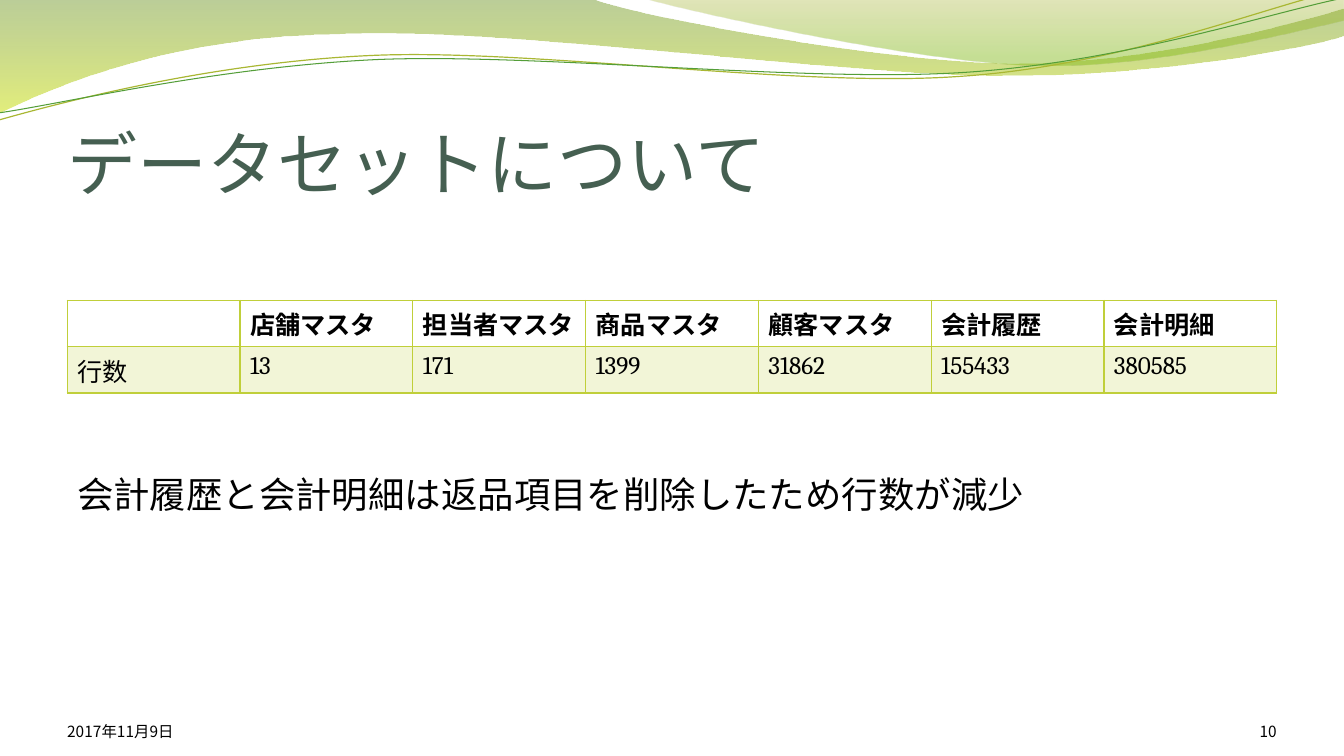
from lxml.etree import SubElement
from pptx import Presentation
from pptx.dml.color import RGBColor
from pptx.enum.text import MSO_ANCHOR as Anchor, PP_ALIGN as Align
from pptx.oxml.ns import qn
from pptx.util import Inches, Pt

W, H = 40 / 3, 7.5
MARGIN, CONTENT_W = W / 20, W * 0.9
SANS, SERIF = "Noto Sans CJK JP", "Cambria"
BLACK, TITLE_COLOR, LIME = "000000", "455F51", "C0CF3A"

TITLE = "データセットについて"
NOTE = "会計履歴と会計明細は返品項目を削除したため行数が減少"
DATE, PAGE = "2017年11月9日", "10"
ROWS = [
    ["", "店舗マスタ", "担当者マスタ", "商品マスタ", "顧客マスタ", "会計履歴", "会計明細"],
    ["行数", "13", "171", "1399", "31862", "155433", "380585"],
]
ROW_H = 0.46

# A path is a start point, then pairs (lines) and sixes (Bézier curves).
# A gradient stop is position, colour, opacity in percent.
BANDS = [
    ([(0, 0), (5.87, -0.01), (6.34, 0.17, 8.84, 0.63, 10.11, 0.63),
      (11.37, 0.63, 12.77, 0.26, 13.33, 0.09), (13.34, 0.36),
      (13.11, 0.44, 11.59, 0.76, 9.94, 0.75), (8.29, 0.75, 5.09, 0.28, 3.43, 0.34),
      (1.72, 0.36, 0.61, 0.83, -0.02, 1.13)],
     [(0, "69921C", 45), (1, "CCE10F", 55)]),
    ([(6.38, -0.01), (6.79, 0.11, 9.09, 0.62, 10.25, 0.65),
      (11.4, 0.69, 12.82, 0.32, 13.33, 0.21), (13.33, 0)],
     [(0, "9BAA1A", 30), (0.8, "81BA16", 45)]),
]
WAVES = [
    ([(-0.01, 1.19), (0.63, 1.01, 2.1, 0.62, 3.69, 0.55),
      (5.27, 0.48, 7.89, 0.87, 9.49, 0.76), (11.1, 0.66, 12.51, 0.08, 13.3, -0.1)],
     "A9B733", 0.85),
    ([(-0.01, 1.12), (0.62, 1.03, 2.18, 0.66, 3.77, 0.59),
      (5.37, 0.53, 7.96, 0.82, 9.55, 0.72), (11.14, 0.62, 12.55, 0.14, 13.33, -0.02)],
     "549E39", 0.75),
]
UNITS = 100  # path units per inch


def rgb(color):
    return RGBColor.from_string(color)


def set_opacity(parent, percent):
    for clr in parent.iter(qn("a:srgbClr")):
        SubElement(clr, qn("a:alpha"), val=str(percent * 1000))


def add_path(slide, path, close):
    """Draw the points as a freeform, then join each six into a Bézier curve."""
    points = [(part[i] * UNITS, part[i + 1] * UNITS)
              for part in path for i in range(0, len(part), 2)]
    builder = slide.shapes.build_freeform(*points[0], scale=Inches(1) / UNITS)
    builder.add_line_segments(points[1:], close=close)
    s = builder.convert_to_shape()
    s.shadow.inherit = False
    segments = iter(list(s.element.spPr.iter(qn("a:lnTo"))))
    for part in path[1:]:
        segment = next(segments)
        if len(part) == 6:
            segment_path = segment.getparent()
            curve = segment_path.makeelement(qn("a:cubicBezTo"))
            segment_path.replace(segment, curve)
            curve.append(segment[0])
            for _ in range(2):
                extra = next(segments)
                curve.append(extra[0])
                segment_path.remove(extra)
    return s


def add_band(slide, path, stops):
    s = add_path(slide, path, True)
    s.line.fill.background()
    s.fill.gradient()
    s.fill.gradient_angle = 270
    for stop, (position, color, _) in zip(s.fill.gradient_stops, stops):
        stop.position = position
        stop.color.rgb = rgb(color)
    for gs, (_, _, opacity) in zip(s.element.spPr.iter(qn("a:gs")), stops):
        set_opacity(gs, opacity)


def add_wave(slide, path, color, width):
    s = add_path(slide, path, False)
    s.fill.background()
    s.line.color.rgb = rgb(color)
    s.line.width = Pt(width)


def add_run(p, text, size, font=SANS, color=BLACK, bold=False):
    r = p.add_run()
    r.text = text
    r.font.size, r.font.name, r.font.bold = Pt(size), font, bold
    r.font.color.rgb = rgb(color)
    SubElement(r.font._element, qn("a:ea"), typeface=SANS)


def add_text(slide, box, text, size, color=BLACK, anchor=Anchor.BOTTOM,
             insets=(0, 0, 0, 0), align=Align.LEFT, spacing=None):
    tf = slide.shapes.add_textbox(*map(Inches, box)).text_frame
    tf.word_wrap = True
    tf.vertical_anchor = anchor
    tf.margin_left, tf.margin_top, tf.margin_right, tf.margin_bottom = map(Inches, insets)
    p = tf.paragraphs[0]
    p.alignment, p.line_spacing = align, spacing
    add_run(p, text, size, color=color)


def add_borders(tc_pr):
    for i, side in enumerate(("a:lnL", "a:lnR", "a:lnT", "a:lnB")):
        ln = tc_pr.makeelement(qn(side), w=str(Pt(1)))
        SubElement(SubElement(ln, qn("a:solidFill")), qn("a:srgbClr"), val=LIME)
        tc_pr.insert(i, ln)


def add_counts(slide):
    n_rows, n_cols = len(ROWS), len(ROWS[0])
    table = slide.shapes.add_table(n_rows, n_cols, Inches(MARGIN), Inches(2.98),
                                   Inches(CONTENT_W), Inches(n_rows * ROW_H)).table
    for col in table.columns:
        col.width = Inches(CONTENT_W / n_cols)
    for i, row in enumerate(ROWS):
        table.rows[i].height = Inches(ROW_H)
        for j, text in enumerate(row):
            cell = table.cell(i, j)
            if text:
                add_run(cell.text_frame.paragraphs[0], text, 18, SERIF, bold=i == 0)
            tc_pr = cell._tc.get_or_add_tcPr()
            if i == 0:
                cell.fill.background()
            else:
                cell.fill.solid()
                cell.fill.fore_color.rgb = rgb(LIME)
                set_opacity(tc_pr, 20)
            add_borders(tc_pr)


def main():
    prs = Presentation()
    prs.slide_width, prs.slide_height = Inches(W), Inches(H)
    slide = prs.slides.add_slide(prs.slide_layouts[6])
    for band in BANDS:
        add_band(slide, *band)
    for wave in WAVES:
        add_wave(slide, *wave)
    add_text(slide, (MARGIN, 0.77, CONTENT_W, 1.25), TITLE, 50, TITLE_COLOR,
             insets=(0, 0.05, 0, 0), spacing=0.8)
    add_text(slide, (MARGIN, 6.95, 3.11, 0.4), DATE, 11)
    add_text(slide, (MARGIN + CONTENT_W - 1.11, 6.95, 1.11, 0.4), PAGE, 11, align=Align.RIGHT)
    add_counts(slide)
    add_text(slide, (MARGIN, 4.63, CONTENT_W, 1.32), NOTE, 26, anchor=Anchor.TOP,
             insets=(0.1, 0.05, 0.1, 0.05))
    prs.save("out.pptx")


if __name__ == "__main__":
    main()
